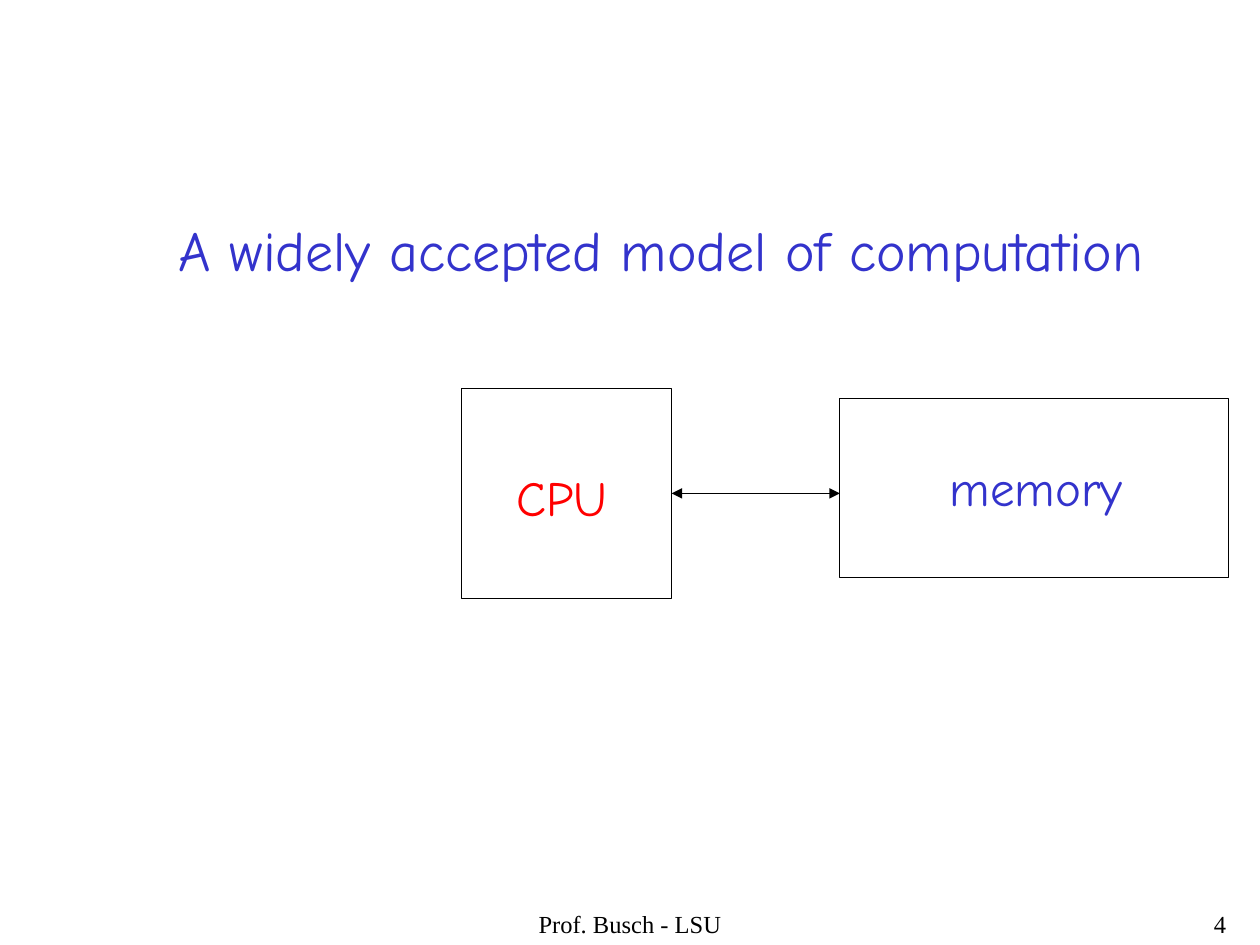
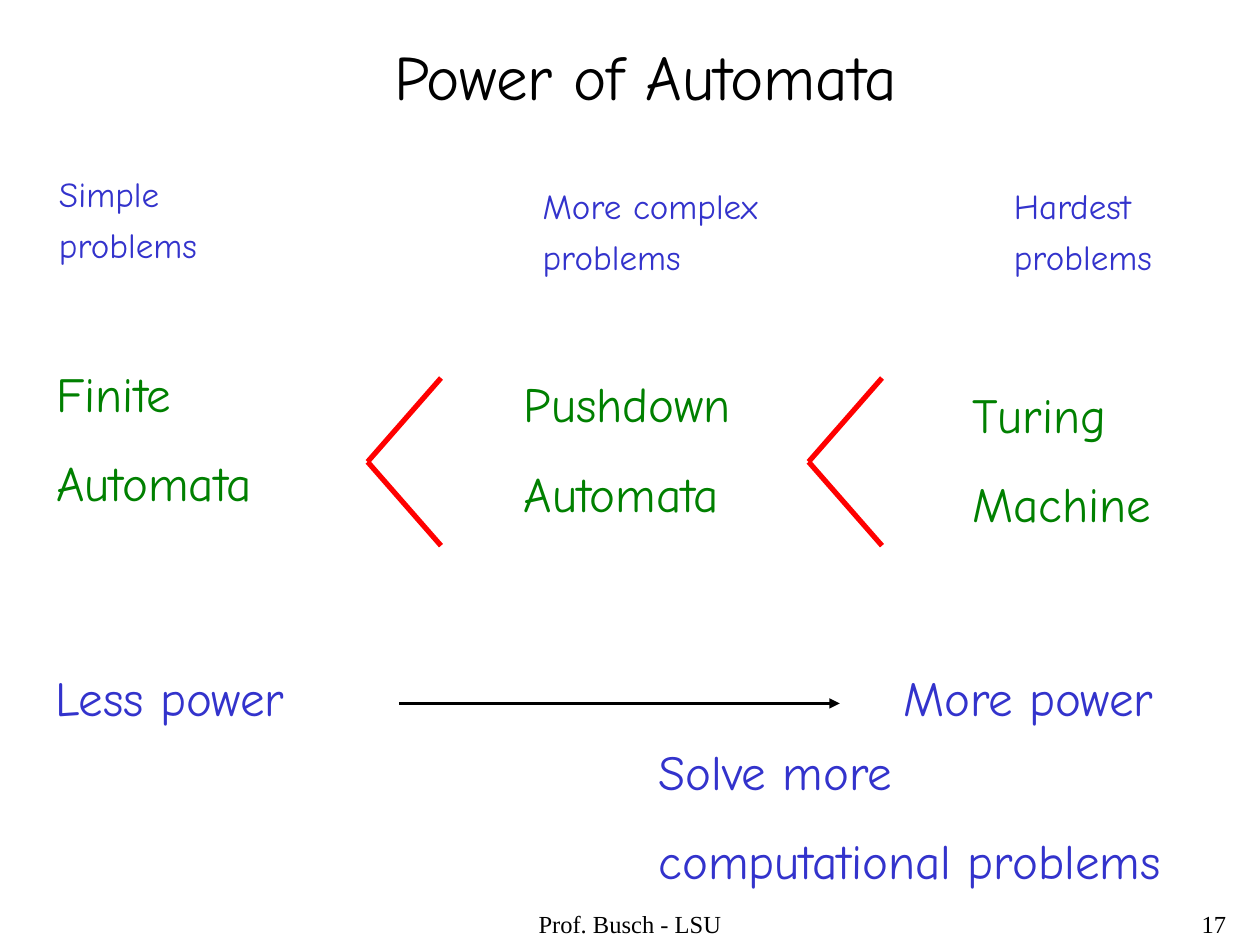
from dataclasses import dataclass

import lxml.etree
import pptx
import pptx.dml.color
import pptx.enum.shapes
import pptx.enum.text
import pptx.oxml.ns
import pptx.shapes.autoshape
import pptx.shapes.connector
import pptx.slide
import pptx.util

Cm = pptx.util.Cm
RGBColor = pptx.dml.color.RGBColor
Align = pptx.enum.text.PP_ALIGN
AutoSize = pptx.enum.text.MSO_AUTO_SIZE

BLACK = RGBColor(0x00, 0x00, 0x00)
BLUE = RGBColor(0x33, 0x33, 0xCC)
GREEN = RGBColor(0x00, 0x80, 0x00)
RED = RGBColor(0xFF, 0x00, 0x00)

HAND_FONT = "Comic Neue"
FOOTER_FONT = "Times New Roman"
LABEL_SIZE, NOTE_SIZE = 28, 20
LABEL_GAP, NOTE_GAP = 17.5, 5


@dataclass(frozen=True)
class Frame:
    """Left, top, width and height in centimetres."""
    left: float
    top: float
    width: float
    height: float

    @property
    def right(self) -> float:
        return self.left + self.width

    @property
    def middle(self) -> float:
        return self.top + self.height / 2

    def lengths(self) -> tuple[pptx.util.Length, ...]:
        return Cm(self.left), Cm(self.top), Cm(self.width), Cm(self.height)


@dataclass(frozen=True)
class Label:
    text: str
    frame: Frame
    color: RGBColor = BLUE
    size: float = LABEL_SIZE
    gap: float = LABEL_GAP


FOOTER_FRAME = Frame(8.68, 18.2, 8.04, 0.85)
NUMBER_FRAME = Frame(19.68, 18.2, 5.29, 0.85)

CPU_FRAME = Frame(9.31, 7.83, 4.23, 4.23)
MEMORY_FRAME = Frame(16.93, 8.04, 7.83, 3.6)
MODEL_LABELS = [
    Label("CPU", Frame(10.16, 9.31, 2.34, 1.45), RED),
    Label("memory", Frame(18.9, 9.1, 3.99, 1.45)),
    Label("A widely accepted model of computation", Frame(3.35, 4.23, 20.04, 1.63), size=32),
]

POWER_LABELS = [
    Label("Power of Automata", Frame(7.7, 0.64, 10.8, 1.78), BLACK, 36),
    Label("Finite\nAutomata", Frame(0.89, 7.2, 4.5, 3.25), GREEN),
    Label("Pushdown\nAutomata", Frame(10.31, 7.41, 4.67, 3.25), GREEN),
    Label("Turing\nMachine", Frame(19.35, 7.62, 4.11, 3.25), GREEN),
    Label("Less power", Frame(0.86, 13.34, 5.16, 1.45)),
    Label("More power", Frame(17.96, 13.34, 5.59, 1.45)),
    Label("Solve more\ncomputational problems", Frame(13.03, 14.82, 10.67, 3.25)),
    Label("Simple\nproblems", Frame(0.94, 3.35, 3.3, 2.13), BLUE, NOTE_SIZE, NOTE_GAP),
    Label("More complex\nproblems", Frame(10.69, 3.6, 4.85, 2.13), BLUE, NOTE_SIZE, NOTE_GAP),
    Label("Hardest\nproblems", Frame(20.19, 3.6, 3.3, 2.13), BLUE, NOTE_SIZE, NOTE_GAP),
]
LESS_THAN_TIPS = (7.41, 16.3)
LESS_THAN_MIDDLE = 9.31
LESS_THAN_WIDTH, LESS_THAN_RISE = 1.48, 1.69


def add_text(page: pptx.slide.Slide, text: str, frame: Frame, *, size: float,
             color: RGBColor = BLACK, font: str = HAND_FONT, align: Align = Align.LEFT,
             gap: float = 0, wrap: bool = False) -> None:
    """Write one paragraph per line of text, with gap points between them."""
    box = page.shapes.add_textbox(*frame.lengths()).text_frame
    box.word_wrap = wrap
    box.auto_size = AutoSize.NONE if wrap else AutoSize.SHAPE_TO_FIT_TEXT
    for index, line in enumerate(text.split("\n")):
        para = box.add_paragraph() if index else box.paragraphs[0]
        para.alignment = align
        if index:
            para.space_before = pptx.util.Pt(gap)
        span = para.add_run()
        span.text = line
        span.font.name = font
        span.font.size = pptx.util.Pt(size)
        span.font.color.rgb = color


def add_labels(page: pptx.slide.Slide, labels: list[Label]) -> None:
    for label in labels:
        add_text(page, label.text, label.frame, size=label.size,
                 color=label.color, gap=label.gap)


def add_box(page: pptx.slide.Slide, frame: Frame) -> pptx.shapes.autoshape.Shape:
    box = page.shapes.add_shape(pptx.enum.shapes.MSO_SHAPE.RECTANGLE, *frame.lengths())
    box.shadow.inherit = False
    box.fill.background()
    box.line.color.rgb = BLACK
    box.line.width = pptx.util.Pt(0.75)
    return box


def add_line(page: pptx.slide.Slide, start: tuple[float, float], end: tuple[float, float],
             *, width: float, color: RGBColor = BLACK,
             arrow_ends: tuple[str, ...] = ()) -> pptx.shapes.connector.Connector:
    """Draw a line; arrow_ends takes headEnd and tailEnd, in that order."""
    line = page.shapes.add_connector(
        pptx.enum.shapes.MSO_CONNECTOR.STRAIGHT, *(Cm(value) for value in (*start, *end)))
    line.line.color.rgb = color
    line.line.width = pptx.util.Pt(width)
    outline = line.line._get_or_add_ln()
    for arrow_end in arrow_ends:
        lxml.etree.SubElement(outline, pptx.oxml.ns.qn(f"a:{arrow_end}"), type="triangle")
    lxml.etree.SubElement(outline.getparent(), pptx.oxml.ns.qn("a:effectLst"))
    return line


def add_page(deck: pptx.presentation.Presentation, number: int) -> pptx.slide.Slide:
    """Add a blank page with the shared footer and its page number."""
    page = deck.slides.add_slide(deck.slide_layouts[6])
    for text, frame, align in (("Prof. Busch - LSU", FOOTER_FRAME, Align.CENTER),
                               (str(number), NUMBER_FRAME, Align.RIGHT)):
        add_text(page, text, frame, size=14, font=FOOTER_FONT, align=align, wrap=True)
    return page


def build_model_page(deck: pptx.presentation.Presentation) -> None:
    page = add_page(deck, 4)
    cpu = add_box(page, CPU_FRAME)
    add_box(page, MEMORY_FRAME)
    bus = add_line(page, (CPU_FRAME.right, CPU_FRAME.middle),
                   (MEMORY_FRAME.left, CPU_FRAME.middle),
                   width=0.75, arrow_ends=("headEnd", "tailEnd"))
    bus.begin_connect(cpu, 3)
    add_labels(page, MODEL_LABELS)


def build_power_page(deck: pptx.presentation.Presentation) -> None:
    page = add_page(deck, 17)
    for tip in LESS_THAN_TIPS:
        for rise in (-LESS_THAN_RISE, LESS_THAN_RISE):
            add_line(page, (tip, LESS_THAN_MIDDLE),
                     (tip + LESS_THAN_WIDTH, LESS_THAN_MIDDLE + rise), width=3, color=RED)
    add_line(page, (8.04, 14.18), (16.93, 14.18), width=2, arrow_ends=("tailEnd",))
    add_labels(page, POWER_LABELS)


def main() -> None:
    deck = pptx.Presentation()
    deck.slide_width, deck.slide_height = Cm(25.4), Cm(19.05)
    build_model_page(deck)
    build_power_page(deck)
    deck.save("out.pptx")


if __name__ == "__main__":
    main()
